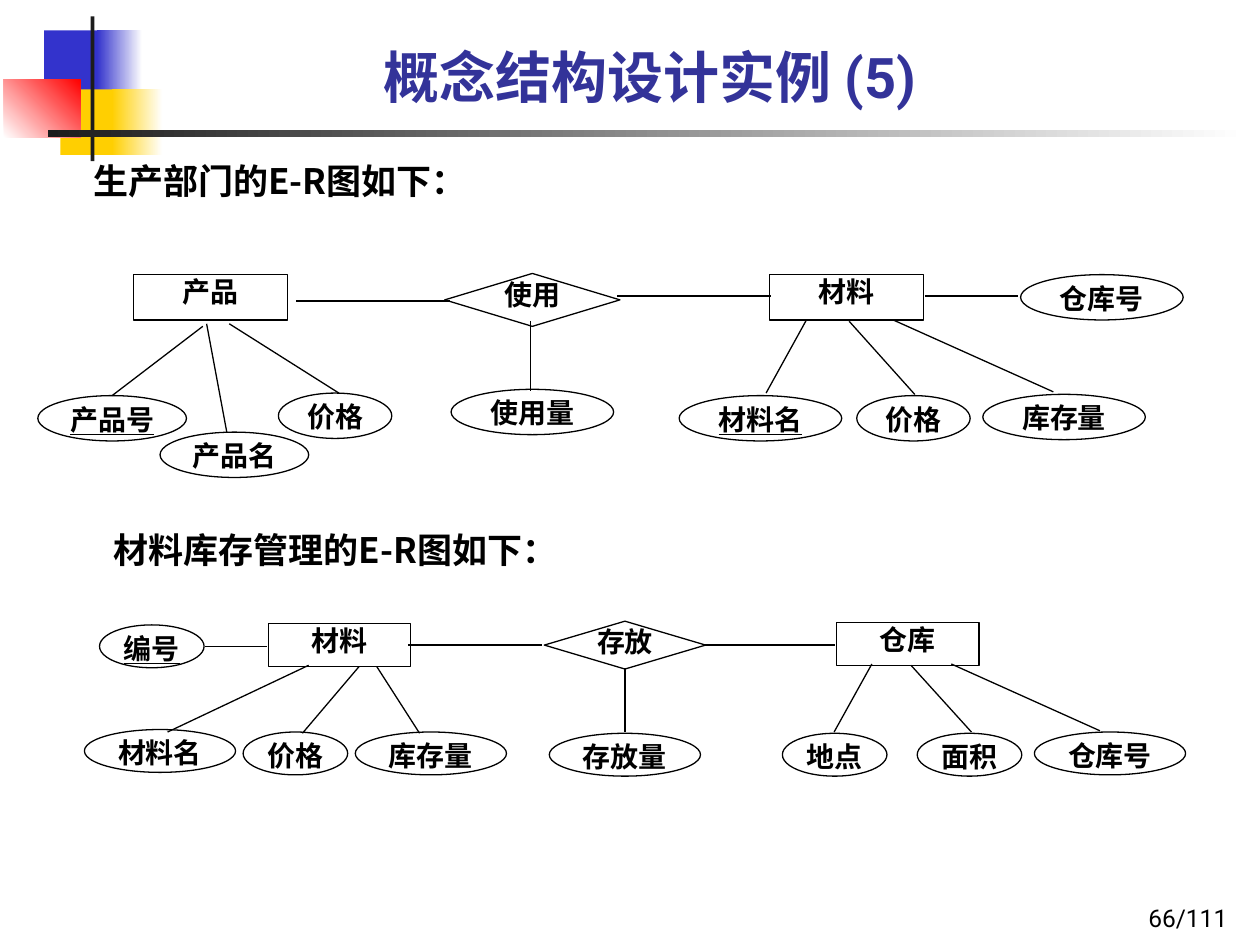
"""Build a slide with two entity-relationship diagrams."""
from dataclasses import dataclass

import pptx
import pptx.dml.color
import pptx.enum.shapes
import pptx.enum.text
import pptx.oxml.ns
import pptx.util
from lxml import etree

SHAPE = pptx.enum.shapes.MSO_SHAPE
ALIGN = pptx.enum.text.PP_ALIGN
ANCHOR = pptx.enum.text.MSO_ANCHOR
qn = pptx.oxml.ns.qn


@dataclass(frozen=True)
class Theme:
    """Colours, fonts and point sizes."""
    ink: str = "000000"
    title: str = "333399"
    paper: str = "FFFFFF"
    blue: str = "3333CC"
    gold: str = "FFCF01"
    red: str = "FF0000"
    dark: str = "1C1C1C"
    sans: str = "Roboto"
    serif: str = "Times New Roman"
    chinese: str = "Noto Sans CJK SC"
    title_size: int = 32
    caption_size: int = 20
    node_size: int = 16
    number_size: int = 14
    line_width: float = 0.75


@dataclass(frozen=True)
class Sizes:
    """Node sizes of one diagram, in grid columns and rows."""
    entity: tuple
    relation: tuple
    height: float
    widths: dict


class SlideBuilder:
    """Draws elements on a grid of 100 columns by 75 rows."""

    def __init__(self, deck, theme):
        self.theme = theme
        self.column = deck.slide_width / 100
        self.row = deck.slide_height / 75
        self.page = deck.slides.add_slide(deck.slide_layouts[5])

    def place(self, left, top, width, height):
        """Turn grid units into lengths."""
        return (round(left * self.column), round(top * self.row),
                round(width * self.column), round(height * self.row))

    def colour(self, value):
        """Return the colour object for a hex value."""
        return pptx.dml.color.RGBColor.from_string(value)

    def label(self, frame, text, size, face, colour, align, bold=True, underline=None):
        """Put one styled paragraph in a text frame."""
        para = frame.paragraphs[0]
        para.text = text
        para.alignment = align
        font = para.font
        font.size = pptx.util.Pt(size)
        font.bold = bold
        font.underline = underline
        font.color.rgb = self.colour(colour)
        font.name = face
        latin = para._p.pPr.find(qn("a:defRPr")).find(qn("a:latin"))
        east_asian = etree.Element(qn("a:ea"), typeface=self.theme.chinese)
        latin.addnext(east_asian)
        return para

    def title(self, text, *spot):
        """Move and fill the title placeholder."""
        box = self.page.shapes.title
        box.left, box.top, box.width, box.height = self.place(*spot)
        frame = box.text_frame
        frame.auto_size = pptx.enum.text.MSO_AUTO_SIZE.NONE
        frame.vertical_anchor = ANCHOR.BOTTOM
        self.label(frame, text, self.theme.title_size, self.theme.sans,
                   self.theme.title, ALIGN.CENTER)

    def caption(self, text, *spot):
        """Add a diagram heading."""
        frame = self.page.shapes.add_textbox(*self.place(*spot)).text_frame
        frame.word_wrap = False
        frame.auto_size = pptx.enum.text.MSO_AUTO_SIZE.SHAPE_TO_FIT_TEXT
        frame.vertical_anchor = ANCHOR.MIDDLE
        self.label(frame, text, self.theme.caption_size, self.theme.chinese,
                   self.theme.ink, ALIGN.LEFT)

    def page_number(self, text, *spot):
        """Add the page count."""
        frame = self.page.shapes.add_textbox(*self.place(*spot)).text_frame
        frame.word_wrap = True
        frame.vertical_anchor = ANCHOR.BOTTOM
        self.label(frame, text, self.theme.number_size, self.theme.sans,
                   self.theme.ink, ALIGN.RIGHT, bold=False)

    def block(self, spot, start, end=None, angle=0):
        """Add a borderless rectangle, plain or with a gradient."""
        box = self.page.shapes.add_shape(SHAPE.RECTANGLE, *self.place(*spot))
        box.shadow.inherit = False
        box.line.fill.background()
        if end is None:
            box.fill.solid()
            box.fill.fore_color.rgb = self.colour(start)
            return
        box.fill.gradient()
        box.fill.gradient_angle = angle
        for stop, value in zip(box.fill.gradient_stops, (start, end)):
            stop.color.rgb = self.colour(value)

    def node(self, preset, text, spot, filled=True, underline=None):
        """Add an outlined shape with a label and return its paragraph."""
        box = self.page.shapes.add_shape(preset, *self.place(*spot))
        box.shadow.inherit = False
        if filled:
            box.fill.solid()
            box.fill.fore_color.rgb = self.colour(self.theme.paper)
        else:
            box.fill.background()
        box.line.color.rgb = self.colour(self.theme.ink)
        box.line.width = pptx.util.Pt(self.theme.line_width)
        frame = box.text_frame
        frame.word_wrap = True
        frame.vertical_anchor = ANCHOR.TOP
        frame.margin_left = frame.margin_right = 0
        frame.margin_top = frame.margin_bottom = 0
        return self.label(frame, text, self.theme.node_size, self.theme.serif,
                          self.theme.ink, ALIGN.CENTER, underline=underline)

    def link(self, *ends):
        """Add a straight line between two grid points."""
        line = self.page.shapes.add_connector(
            pptx.enum.shapes.MSO_CONNECTOR.STRAIGHT, *self.place(*ends))
        line.line.color.rgb = self.colour(self.theme.ink)
        line.line.width = pptx.util.Pt(self.theme.line_width)
        etree.SubElement(line._element.spPr, qn("a:effectLst"))

    def diagram(self, sizes, entities, relation, attributes, links):
        """Draw one entity-relationship diagram."""
        for text, left, top in entities:
            self.node(SHAPE.RECTANGLE, text, (left, top, *sizes.entity))
        text, left, top = relation
        para = self.node(SHAPE.DIAMOND, text, (left, top, *sizes.relation))
        para.line_spacing = 0.72
        for text, width, left, top, *key in attributes:
            self.node(SHAPE.OVAL, text, (left, top, sizes.widths[width], sizes.height),
                      filled=False, underline=bool(key) or None)
        for ends in links:
            self.link(*ends)


def main():
    """Build and save the deck."""
    deck = pptx.Presentation()
    deck.slide_width, deck.slide_height = pptx.util.Inches(10), pptx.util.Inches(7.5)
    theme = Theme()
    slide = SlideBuilder(deck, theme)

    slide.block((3.5, 2.4, 4.8, 5.2), theme.blue)
    slide.block((7.7, 2.4, 3.6, 5.2), theme.blue, theme.paper)
    slide.block((4.8, 7.1, 4.6, 5.2), theme.gold)
    slide.block((8.9, 7.1, 4, 5.2), theme.gold, theme.paper)
    slide.block((0.3, 6.3, 6.1, 4.6), theme.paper, theme.red, 45)
    slide.block((7.2, 1.3, 0.3, 11.5), theme.dark)
    slide.block((3.8, 10.3, 95.1, 0.6), theme.dark, theme.paper)

    slide.title("概念结构设计实例 (5)", 9, 0.5, 85.2, 8.7)
    slide.page_number("66/111", 77.6, 69.5, 20.8, 5)
    slide.caption("生产部门的E-R图如下：", 6.4, 12.1, 33.3, 4.4)
    slide.caption("材料库存管理的E-R图如下：", 8, 41.4, 38.8, 4.4)

    slide.diagram(
        Sizes((12.2, 3.6), (13.9, 4.2), 3.6, {"wide": 12.9, "medium": 11.8, "small": 9}),
        [("产品", 10.6, 21.8), ("材料", 61.1, 21.8)],
        ("使用", 35.3, 21.7),
        [("产品号", "medium", 3, 31.4, "key"), ("产品名", "medium", 12.7, 34.3),
         ("价格", "small", 22.1, 31.2), ("使用量", "wide", 35.8, 30.9),
         ("材料名", "wide", 53.9, 31.4, "key"), ("价格", "small", 68, 31.4),
         ("库存量", "wide", 78, 31.3), ("仓库号", "wide", 81, 21.8)],
        [(23.5, 23.9, 35.7, 23.9), (49, 23.5, 61.2, 23.5), (73.4, 23.5, 80.8, 23.5),
         (16.1, 25.9, 8.9, 31.4), (16.4, 25.7, 18, 34.3), (18.2, 25.7, 26.9, 31.2),
         (42.1, 25.5, 42.1, 31), (64, 25.4, 60.8, 31.2), (67.4, 25.5, 72.6, 31.3),
         (70.9, 25.4, 83.6, 31.1)])

    slide.diagram(
        Sizes((11.3, 3.4), (12.8, 3.8), 3.4, {"wide": 12, "small": 8.3}),
        [("材料", 21.3, 49.5), ("仓库", 66.4, 49.4)],
        ("存放", 43.2, 49.3),
        [("编号", "small", 7.9, 49.6, "key"), ("材料名", "wide", 6.7, 57.9),
         ("价格", "small", 19.3, 58.1), ("库存量", "wide", 28.2, 58.1),
         ("存放量", "wide", 43.6, 58.2), ("地点", "small", 62.1, 58.2),
         ("面积", "small", 72.8, 58.2), ("仓库号", "wide", 82.1, 58.1)],
        [(16.3, 51.3, 21.2, 51.3), (32.4, 51.2, 43, 51.2), (55.8, 51.2, 66.3, 51.2),
         (24.5, 52.8, 13.3, 58.1), (28.5, 52.9, 24, 58.2), (29.9, 52.9, 33.3, 58.2),
         (49.6, 53, 49.6, 58.1), (69.2, 52.7, 66.2, 58.1), (72.3, 52.8, 77.1, 58.1),
         (75.5, 52.7, 87.3, 58)])

    deck.save("out.pptx")


if __name__ == "__main__":
    main()
